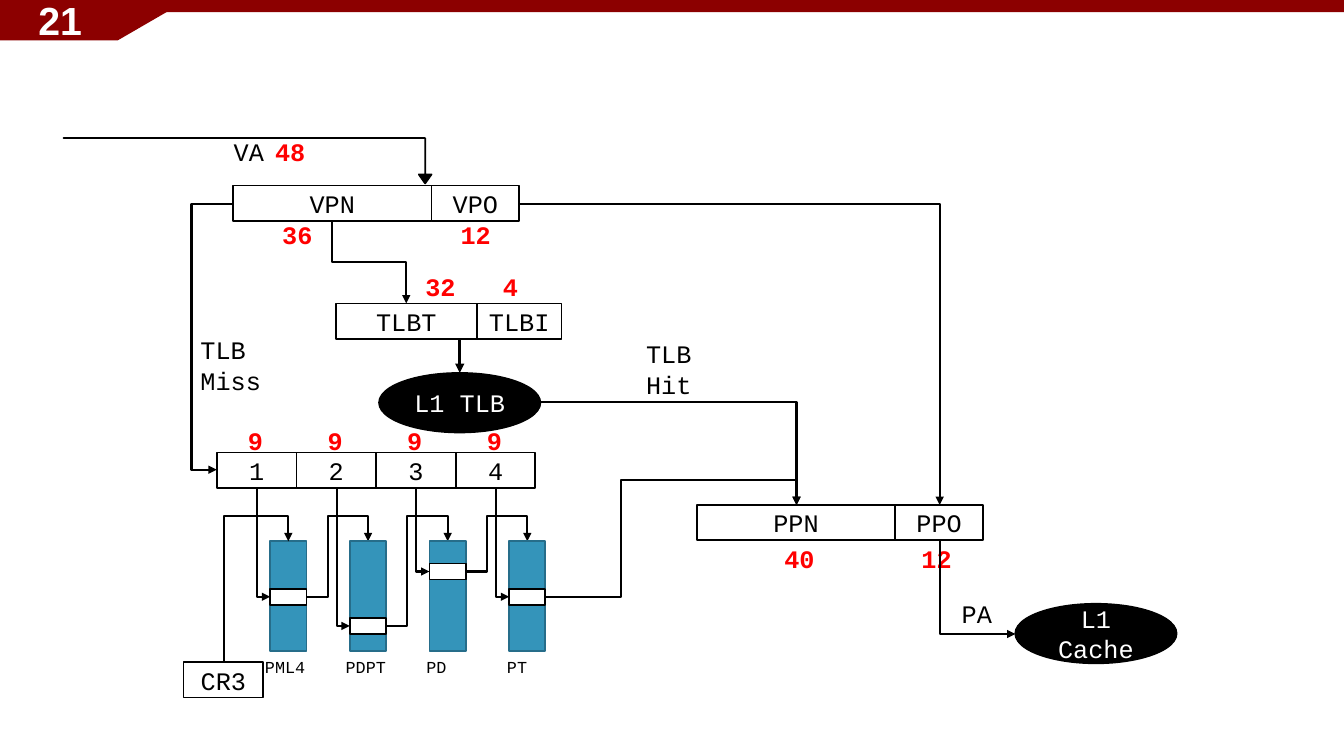
from pptx import Presentation
from pptx.dml.color import RGBColor
from pptx.enum.shapes import MSO_CONNECTOR, MSO_SHAPE
from pptx.enum.text import MSO_ANCHOR, PP_ALIGN
from pptx.oxml.ns import qn
from pptx.util import Emu, Pt
from lxml.etree import SubElement

PX = 9144
HUE = {"dark": "8C0000", "black": "000000", "white": "FFFFFF",
       "red": "FF0000", "teal": "3494BA", "edge": "266D8A"}
FONT = {
    "body": {"name": "Courier New", "size": Pt(18), "bold": False},
    "bits": {"name": "Courier New", "size": Pt(18), "bold": True},
    "small": {"name": "Courier New", "size": Pt(12), "bold": False},
    "page": {"name": "Arial", "size": Pt(28), "bold": True},
}


def px(*nums):
    return [Emu(round(n * PX)) for n in nums]


def rgb(name):
    return RGBColor.from_string(HUE[name])


def paint(shape, fill, line=None):
    shape.shadow.inherit = False
    shape.fill.solid()
    shape.fill.fore_color.rgb = rgb(fill)
    if line:
        shape.line.color.rgb = rgb(line)
        shape.line.width = Pt(1.25)
    else:
        shape.line.fill.background()
    return shape


def write(shape, text, font="body", hue="black", align=PP_ALIGN.LEFT,
          anchor=MSO_ANCHOR.TOP):
    frame = shape.text_frame
    frame.word_wrap = True
    frame.vertical_anchor = anchor
    frame.text = text
    for para in frame.paragraphs:
        para.alignment = align
        para.font.color.rgb = rgb(hue)
        for key, val in FONT[font].items():
            setattr(para.font, key, val)
    return frame


def block(slide, box, fill="white", line="black", text="", hue="black",
          kind=MSO_SHAPE.RECTANGLE):
    shape = paint(slide.shapes.add_shape(kind, *px(*box)), fill, line)
    if text:
        write(shape, text, "body", hue, PP_ALIGN.CENTER, MSO_ANCHOR.MIDDLE)
    return shape


def label(slide, box, text, **look):
    return write(slide.shapes.add_textbox(*px(*box)), text, **look)


def bits(slide, x, y, text):
    label(slide, (x, y, 55, 41), text, font="bits", hue="red")


def fields(slide, x, y, parts):
    for text, wide in parts:
        block(slide, (x, y, wide, 35), text=text)
        x += wide


def oval(slide, x, y, text):
    block(slide, (x, y, 160, 59), "black", text=text, hue="white",
          kind=MSO_SHAPE.OVAL)


def wire(slide, kind, ends, width):
    line = slide.shapes.add_connector(kind, *px(*ends))
    line.line.color.rgb = rgb("black")
    line.line.width = Pt(width)
    props = line._element.spPr
    SubElement(props.find(qn("a:ln")), qn("a:tailEnd"), type="triangle")
    SubElement(props, qn("a:effectLst"))
    return props


def elbow(slide, start, end, bends=(), down=False):
    dx, dy = end[0] - start[0], end[1] - start[1]
    mx, my = (start[0] + end[0]) / 2, (start[1] + end[1]) / 2
    vx, vy = (-dy, dx) if down else (dx, dy)
    props = wire(slide, MSO_CONNECTOR.ELBOW,
                 (mx - vx / 2, my - vy / 2, mx + vx / 2, my + vy / 2), 1.5)
    if down:
        props.find(qn("a:xfrm")).set("rot", "16200000")
    geom = props.find(qn("a:prstGeom"))
    geom.set("prst", f"bentConnector{len(bends) + 2}")
    guides = geom.find(qn("a:avLst"))
    for i, bend in enumerate(bends):
        axis = (i + down) % 2
        ratio = (bend - start[axis]) / (end[axis] - start[axis])
        SubElement(guides, qn("a:gd"), name=f"adj{i + 1}",
                   fmla=f"val {round(ratio * 100000)}")


def banner(slide, x, y, wide):
    pen = slide.shapes.build_freeform(x, y, scale=PX)
    pen.add_line_segments([(x, y + 40), (x + 117, y + 40), (x + 186, y)])
    paint(pen.convert_to_shape(), "dark")
    block(slide, (x, y, wide, 12), "dark", None)
    label(slide, (x - 3, y, 94, 40), "21", font="page", hue="white",
          align=PP_ALIGN.RIGHT, anchor=MSO_ANCHOR.MIDDLE)


def virtual(slide, x, y):
    fields(slide, x, y, [("VPN", 197), ("VPO", 87)])
    arrow = block(slide, (x - 168, y - 47, 365, 45), "black",
                  kind=MSO_SHAPE.BENT_UP_ARROW)
    for i, ratio in enumerate((0, 0.14, 0.2)):
        arrow.adjustments[i] = ratio
    arrow._element.spPr.find(qn("a:xfrm")).set("flipV", "1")
    label(slide, (x - 9, y - 54, 63, 40), "VA")
    for dx, dy, text in ((32, -54, "48"), (39, 29, "36"), (216, 29, "12")):
        bits(slide, x + dx, y + dy, text)


def buffer(slide, x, y):
    fields(slide, x, y, [("TLBT", 140), ("TLBI", 84)])
    bits(slide, x + 79, y - 37, "32")
    bits(slide, x + 156, y - 37, "4")
    oval(slide, x + 43, y + 69, "L1 TLB")
    wire(slide, MSO_CONNECTOR.STRAIGHT,
         (x + 123, y + 35, x + 123, y + 69), 2.25)
    label(slide, (x + 298, y + 30, 68, 71), "TLB\nHit")
    label(slide, (x - 144, y + 26, 90, 71), "TLB\nMiss")


def walk(slide, x, y):
    step = 79
    fields(slide, x, y, [(str(n), step) for n in range(1, 5)])
    top = y + 88
    slots = [y + 143, y + 172, y + 118, y + 143]
    for i, mid in enumerate(slots):
        left = x + 53 + i * step
        bits(slide, x + 21 + i * step, y - 32, "9")
        block(slide, (left, top, 36, 109), "teal", "edge")
        block(slide, (left, mid - 8, 36, 16))
        elbow(slide, (left - 13, y + 35), (left, mid), down=True)
        if i < 3:
            elbow(slide, (left + 36, mid), (left + step + 18, top),
                  (left + 57, top - 25))
    block(slide, (x - 33, y + 208, 79, 35), text="CR3")
    elbow(slide, (x + 7, y + 208), (x + 71, top), (top - 25,), True)
    names = label(slide, (x + 38, y + 198, 313, 30),
                  "PML4\tPDPT\tPD\tPT", font="small")
    props = names.paragraphs[0]._p.get_or_add_pPr()
    tabs = SubElement(props, qn("a:tabLst"))
    props.insert(0, tabs)
    for n in range(1, 4):
        SubElement(tabs, qn("a:tab"), pos=str(n * 80 * PX), algn="l")


def physical(slide, x, y):
    fields(slide, x, y, [("PPN", 197), ("PPO", 87)])
    bits(slide, x + 77, y + 33, "40")
    bits(slide, x + 213, y + 33, "12")
    elbow(slide, (x + 241, y + 35), (x + 316, y + 128), down=True)
    label(slide, (x + 253, y + 88, 63, 40), "PA")
    oval(slide, x + 316, y + 98, "L1 Cache")


def links(slide, va, tlb, steps, pa):
    ppn = (pa[0] + 99, pa[1])
    elbow(slide, (tlb[0] + 203, tlb[1] + 98), ppn)
    elbow(slide, (va[0] + 284, va[1] + 18), (pa[0] + 241, pa[1]))
    elbow(slide, (va[0], va[1] + 18), (steps[0], steps[1] + 17),
          (va[0] - 41,))
    elbow(slide, (va[0] + 98, va[1] + 35), (tlb[0] + 70, tlb[1]),
          (va[1] + 76,), True)
    elbow(slide, (steps[0] + 326, steps[1] + 143), ppn,
          (steps[0] + 401, pa[1] - 25))


def main():
    deck = Presentation()
    deck.slide_width, deck.slide_height = px(1333, 750)
    slide = deck.slides.add_slide(deck.slide_layouts[6])
    va, tlb, steps, pa = (231, 184), (333, 301), (215, 449), (691, 501)
    banner(slide, 0, 0, 1333)
    virtual(slide, *va)
    buffer(slide, *tlb)
    walk(slide, *steps)
    physical(slide, *pa)
    links(slide, va, tlb, steps, pa)
    deck.save("out.pptx")


if __name__ == "__main__":
    main()
